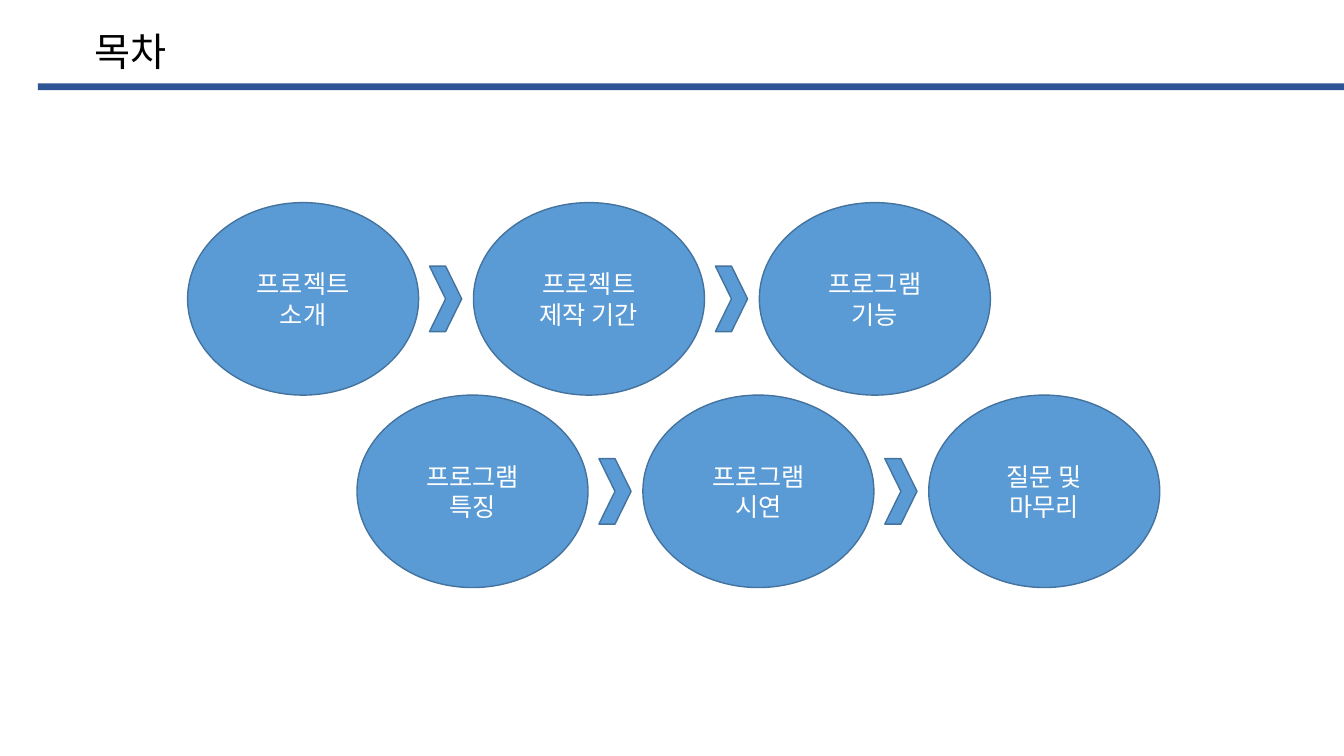
from dataclasses import dataclass

from lxml import etree
from pptx import Presentation
from pptx import util as u
from pptx.dml import color
from pptx.enum import shapes, text
from pptx.oxml import ns
from pptx.shapes import autoshape
from pptx.slide import Slide

BLACK = color.RGBColor(0x00, 0x00, 0x00)
WHITE = color.RGBColor(0xFF, 0xFF, 0xFF)
NAVY = color.RGBColor(0x2F, 0x55, 0x97)
BLUE = color.RGBColor(0x5B, 0x9B, 0xD5)
OUTLINE = color.RGBColor(0x43, 0x73, 0x9E)

FONT = "Noto Sans CJK KR"
STEP_WIDTH, STEP_HEIGHT, STEP_PITCH = 165, 137.5, 204.2
CHEVRON_WIDTH, CHEVRON_HEIGHT, CHEVRON_OFFSET = 23, 46.8, 172.8


@dataclass(frozen=True)
class StepRow:
    left: float
    top: float
    labels: tuple[str, ...]


ROWS = (
    StepRow(134, 144.7, ("프로젝트\v소개", "프로젝트\v제작 기간", "프로그램\n기능")),
    StepRow(255, 282.2, ("프로그램\v특징", "프로그램\v시연", "질문 및\v마무리")),
)


def write_text(shape: autoshape.Shape, content: str, *, size: float,
               font_color: color.RGBColor, alignment: text.PP_ALIGN,
               anchor: text.MSO_ANCHOR, wrap: bool = True) -> None:
    frame = shape.text_frame
    frame.text = content
    frame.word_wrap = wrap
    frame.vertical_anchor = anchor
    for paragraph in frame.paragraphs:
        paragraph.alignment = alignment
        for run in paragraph.runs:
            run.font.size = u.Pt(size)
            run.font.name = FONT
            run.font.color.rgb = font_color
            properties = run.font._element
            east_asian = etree.SubElement(properties, ns.qn("a:ea"))
            east_asian.set("typeface", FONT)


def add_shape(slide: Slide, kind: shapes.MSO_SHAPE, left: float, top: float,
              width: float, height: float, *, fill: color.RGBColor,
              line: color.RGBColor | None = None) -> autoshape.Shape:
    shape = slide.shapes.add_shape(
        kind, u.Pt(left), u.Pt(top), u.Pt(width), u.Pt(height))
    shape.shadow.inherit = False
    shape.fill.solid()
    shape.fill.fore_color.rgb = fill
    if line is None:
        shape.line.fill.background()
    else:
        shape.line.color.rgb = line
        shape.line.width = u.Pt(1)
    return shape


def add_title(slide: Slide) -> None:
    title = slide.shapes.title
    title.left, title.top = u.Pt(60.5), u.Pt(15.8)
    title.width, title.height = u.Pt(71.3), u.Pt(41)
    write_text(title, "목차", size=28, font_color=BLACK,
               alignment=text.PP_ALIGN.LEFT, anchor=text.MSO_ANCHOR.TOP, wrap=False)
    title.text_frame.auto_size = text.MSO_AUTO_SIZE.SHAPE_TO_FIT_TEXT


def add_step_row(slide: Slide, row: StepRow) -> None:
    for index, label in enumerate(row.labels):
        left = row.left + index * STEP_PITCH
        step = add_shape(slide, shapes.MSO_SHAPE.OVAL, left, row.top,
                         STEP_WIDTH, STEP_HEIGHT, fill=BLUE, line=OUTLINE)
        write_text(step, label, size=18, font_color=WHITE,
                   alignment=text.PP_ALIGN.CENTER, anchor=text.MSO_ANCHOR.MIDDLE)
        if index < len(row.labels) - 1:
            add_shape(slide, shapes.MSO_SHAPE.CHEVRON, left + CHEVRON_OFFSET,
                      row.top + (STEP_HEIGHT - CHEVRON_HEIGHT) / 2,
                      CHEVRON_WIDTH, CHEVRON_HEIGHT, fill=BLUE, line=OUTLINE)


def main() -> None:
    presentation = Presentation()
    presentation.slide_width, presentation.slide_height = u.Pt(960), u.Pt(540)
    slide = presentation.slides.add_slide(presentation.slide_layouts[5])
    add_title(slide)
    add_shape(slide, shapes.MSO_SHAPE.RECTANGLE, 27, 59.5, 933, 5, fill=NAVY)
    for row in ROWS:
        add_step_row(slide, row)
    presentation.save("out.pptx")


if __name__ == "__main__":
    main()
